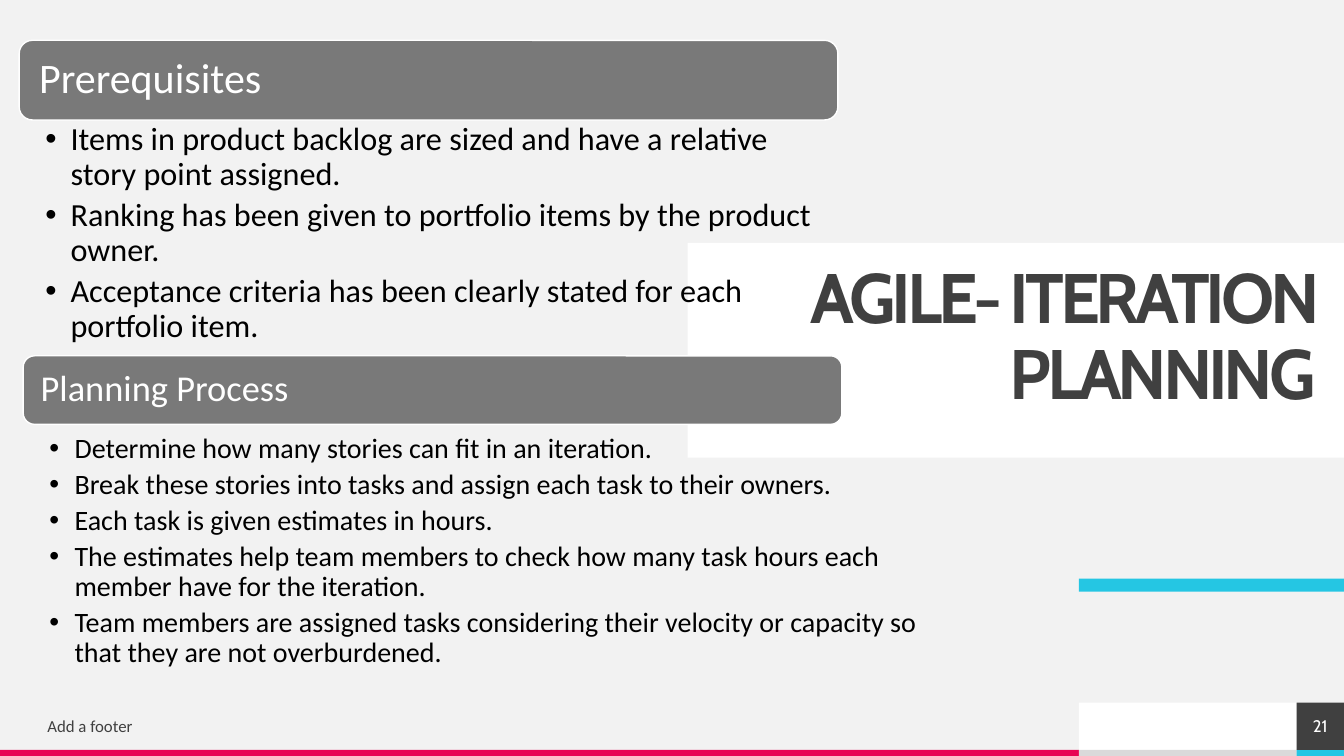
"""Build the agile iteration planning slide."""
from dataclasses import dataclass

from lxml import etree
from pptx import Presentation
from pptx import util as u
from pptx.dml.color import RGBColor
from pptx.enum import shapes, text
from pptx.oxml import ns

TITLE = "AGILE- ITERATION PLANNING"
FOOTER = "Add a footer"
NUMBER = "21"
SECTIONS = [
    {
        "heading": "Prerequisites",
        "bar": (0.19, 0.4, 8.12, 0.79), "inset": 0.16, "heading_size": 30,
        "list": (0.19, 1.18, 8.12, 2.51), "right": 0.23, "list_size": 23,
        "items": [
            "Items in product backlog are sized and have a relative story point assigned.",
            "Ranking has been given to portfolio items by the product owner.",
            "Acceptance criteria has been clearly stated for each portfolio item.",
        ],
    },
    {
        "heading": "Planning Process",
        "bar": (0.23, 3.53, 8.12, 0.68), "inset": 0.14, "heading_size": 26,
        "list": (0.23, 4.27, 9.51, 2.94), "right": 0.2, "list_size": 20,
        "items": [
            "Determine how many stories can fit in an iteration.",
            "Break these stories into tasks and assign each task to their owners.",
            "Each task is given estimates in hours.",
            "The estimates help team members to check how many task hours each member have for the iteration.",
            "Team members are assigned tasks considering their velocity or capacity so that they are not overburdened.",
        ],
    },
]


@dataclass(frozen=True)
class Theme:
    """Colours, fonts and type sizes."""
    ground: str = "F2F2F2"
    white: str = "FFFFFF"
    black: str = "000000"
    dark: str = "404040"
    bar: str = "797979"
    cyan: str = "25C6E3"
    pink: str = "E80554"
    pale: str = "DADADA"
    display: str = "Cabin"
    body: str = "Calibri"
    title_size: int = 50
    small_size: int = 12


THEME = Theme()
WIDTH, HEIGHT = 13.33, 7.5
COLUMNS = (0, 10.7, 12.86, WIDTH)
FOOT_TOP, STRIPE_TOP = 6.97, 7.44
FOOT_HEIGHT = STRIPE_TOP - FOOT_TOP


def place(box, area):
    """Move a box to an area given in inches."""
    box.left, box.top, box.width, box.height = map(u.Inches, area)


def add_block(page, area, color, kind=shapes.MSO_SHAPE.RECTANGLE, outline=None):
    """Add a flat filled shape."""
    box = page.shapes.add_shape(kind, *map(u.Inches, area))
    box.shadow.inherit = False
    box.fill.solid()
    box.fill.fore_color.rgb = RGBColor.from_string(color)
    if outline:
        box.line.color.rgb = RGBColor.from_string(outline)
        box.line.width = u.Pt(1)
    else:
        box.line.fill.background()
    return box


def write(box, lines, *, size, color, font=THEME.body, bold=False, align=text.PP_ALIGN.LEFT,
          anchor=text.MSO_ANCHOR.MIDDLE, insets=(0, 0, 0, 0), leading=1.0, after=0,
          tracking=None, bullet=None):
    """Fill a box with formatted paragraphs."""
    frame = box.text_frame
    frame.word_wrap = True
    frame.auto_size = text.MSO_AUTO_SIZE.NONE
    frame.vertical_anchor = anchor
    (frame.margin_left, frame.margin_top,
     frame.margin_right, frame.margin_bottom) = map(u.Inches, insets)
    for index, line in enumerate(lines):
        para = frame.add_paragraph() if index else frame.paragraphs[0]
        if bullet:
            props = para._p.get_or_add_pPr()
            props.set("marL", str(u.Inches(0.25)))
            props.set("indent", str(-u.Inches(0.25)))
            etree.SubElement(props, ns.qn("a:buChar")).set("char", bullet)
        para.alignment = align
        para.line_spacing = leading
        para.space_before = u.Pt(0)
        para.space_after = u.Pt(after)
        span = para.add_run()
        span.text = line
        span.font.name = font
        span.font.size = u.Pt(size)
        span.font.bold = bold
        span.font.color.rgb = RGBColor.from_string(color)
        if tracking:
            span._r.get_or_add_rPr().set("spc", str(tracking * 100))


def add_frame(page):
    """Add the accent bar, the footer and the bottom stripe."""
    add_block(page, (COLUMNS[1], 5.74, WIDTH - COLUMNS[1], 0.13), THEME.cyan)
    add_block(page, (COLUMNS[1], FOOT_TOP, COLUMNS[2] - COLUMNS[1], FOOT_HEIGHT), THEME.white)
    for left, right, color in zip(COLUMNS, COLUMNS[1:], (THEME.pink, THEME.pale, THEME.cyan)):
        add_block(page, (left, STRIPE_TOP, right - left, HEIGHT - STRIPE_TOP), color)
    footer = page.shapes.add_textbox(*map(u.Inches, (0.47, 7.04, 6.19, 0.32)))
    write(footer, [FOOTER], size=THEME.small_size, color=THEME.dark)
    number = add_block(page, (COLUMNS[2], FOOT_TOP, WIDTH - COLUMNS[2], FOOT_HEIGHT), THEME.dark)
    write(number, [NUMBER], size=THEME.small_size, color=THEME.white, font=THEME.display,
          align=text.PP_ALIGN.CENTER)


def add_title(page):
    """Set the title on its white panel."""
    title = page.shapes.title
    place(title, (6.82, 2.41, WIDTH - 6.82, 2.13))
    title.fill.solid()
    title.fill.fore_color.rgb = RGBColor.from_string(THEME.white)
    write(title, [TITLE], size=THEME.title_size, color=THEME.dark, font=THEME.display, bold=True,
          align=text.PP_ALIGN.RIGHT, anchor=text.MSO_ANCHOR.TOP,
          insets=(0.2, 0.2, 0.28, 0.2), leading=0.9, tracking=-3)


def add_section(page, section, body):
    """Set a heading bar and its bulleted list."""
    bar = add_block(page, section["bar"], THEME.bar, shapes.MSO_SHAPE.ROUNDED_RECTANGLE, THEME.white)
    write(bar, [section["heading"]], size=section["heading_size"], color=THEME.white,
          insets=(section["inset"],) * 4, leading=0.9)
    place(body, section["list"])
    write(body, section["items"], size=section["list_size"], color=THEME.black,
          anchor=text.MSO_ANCHOR.TOP, insets=(0.26, 0.04, section["right"], 0.04),
          leading=0.9, after=round(section["list_size"] * 0.2, 1), bullet="•")


def main():
    deck = Presentation()
    deck.slide_width, deck.slide_height = u.Inches(WIDTH), u.Inches(HEIGHT)
    page = deck.slides.add_slide(deck.slide_layouts.get_by_name("Two Content"))
    page.background.fill.solid()
    page.background.fill.fore_color.rgb = RGBColor.from_string(THEME.ground)
    add_frame(page)
    add_title(page)
    for index, section in enumerate(SECTIONS, start=1):
        add_section(page, section, page.placeholders[index])
    deck.save("out.pptx")


if __name__ == "__main__":
    main()
